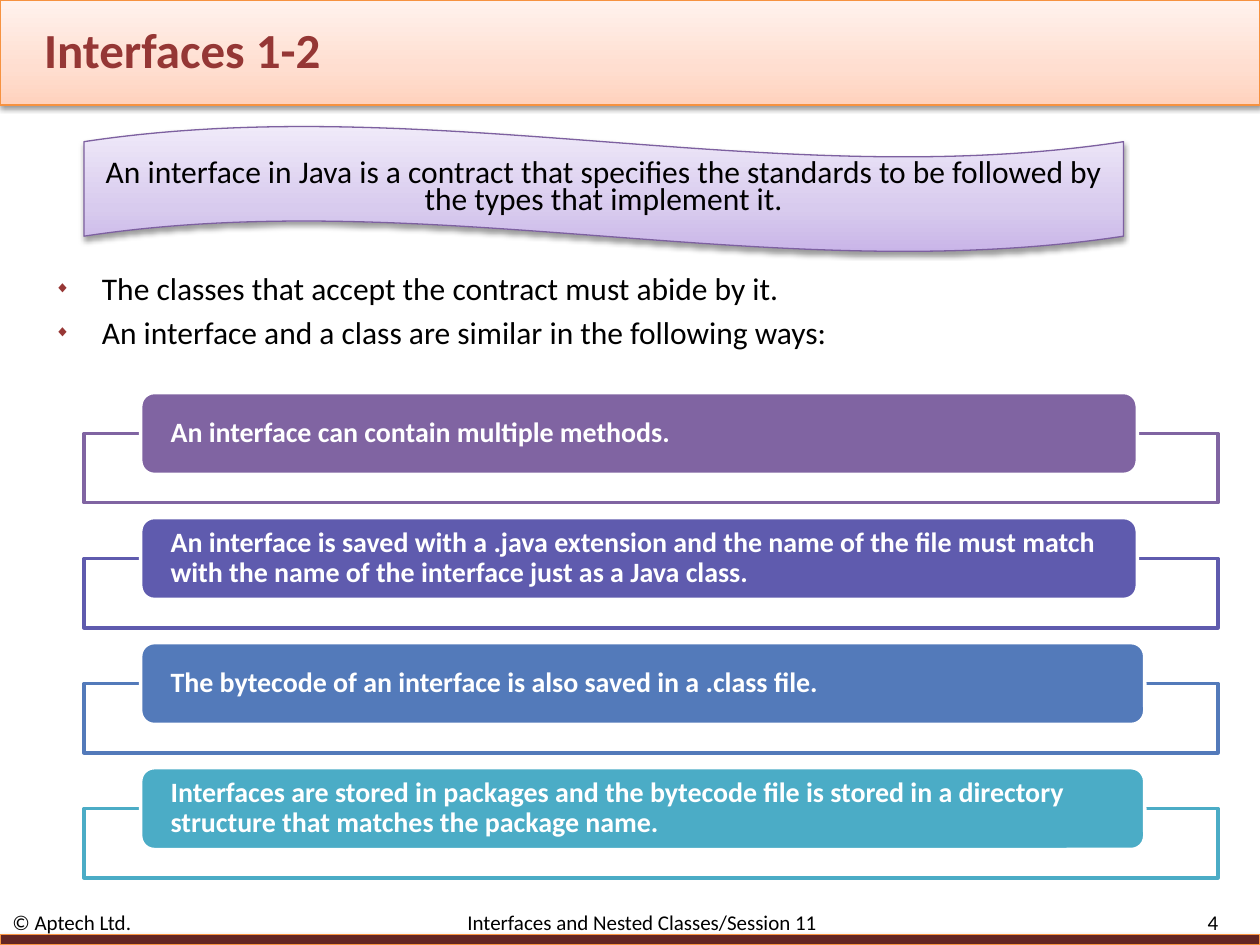
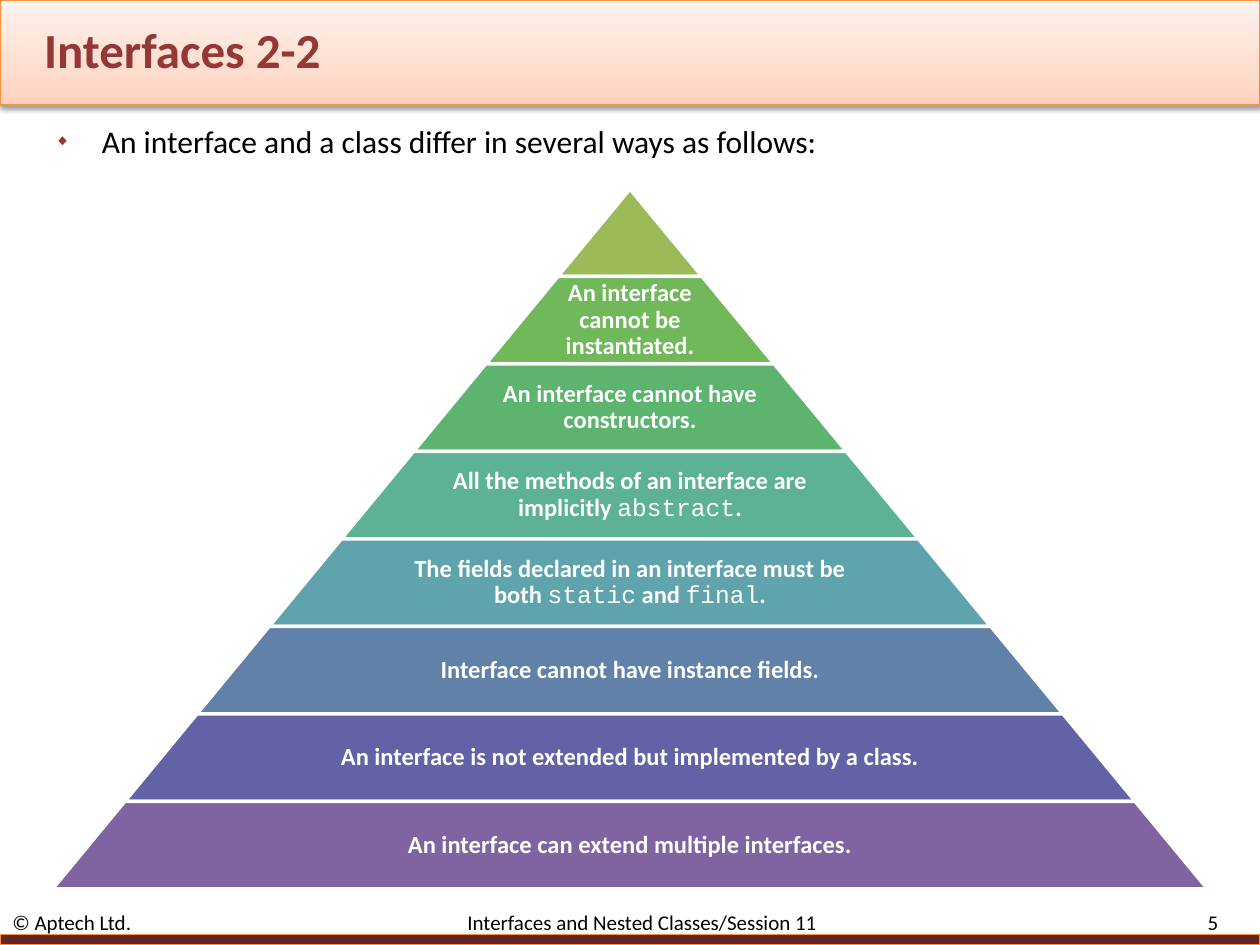
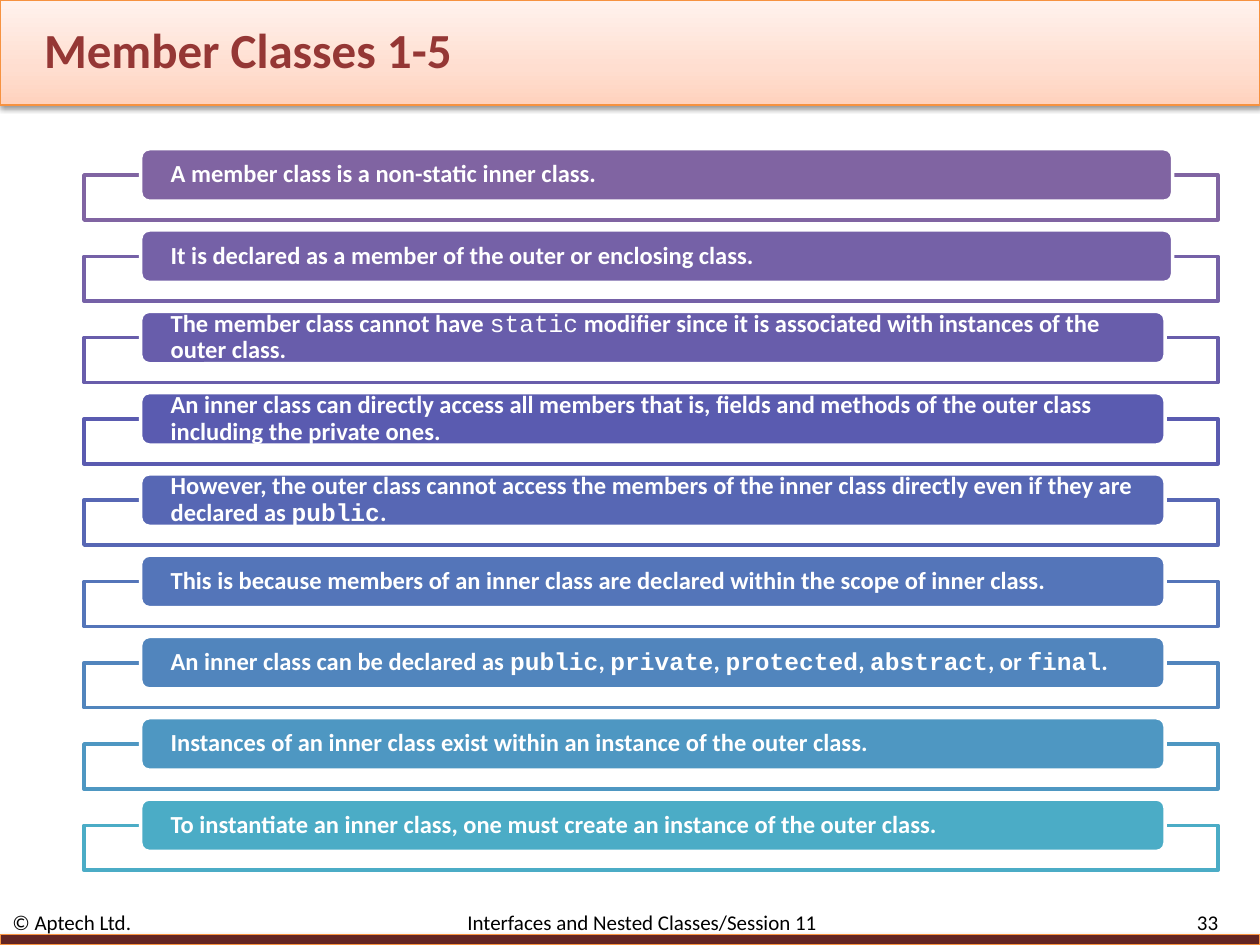
"""Build three slides on Java interfaces and member classes."""
from copy import deepcopy

from pptx import Presentation
from pptx.dml.color import RGBColor
from pptx.enum.shapes import MSO_SHAPE as Shape
from pptx.enum.text import MSO_ANCHOR as Anchor, MSO_AUTO_SIZE as AutoSize, PP_ALIGN as Align
from pptx.oxml import parse_xml
from pptx.oxml.ns import nsdecls, qn
from pptx.util import Pt

COLORS = {
    "white": "FFFFFF", "black": "000000", "title": "953735", "bullet": "973735",
    "maroon": "632523", "orange": "F69240",
    "peach": "FFD2BD", "light peach": "FFDED0", "pale peach": "FFF2ED",
    "lilac": "C9B5E8", "light lilac": "D8CBEE", "pale lilac": "F0EAF9", "wave edge": "7D60A0",
    "purple": "8064A2", "violet": "7561A7", "iris": "685DAB", "indigo": "5F5BAE",
    "deep indigo": "5A5BB0", "royal": "5767B4", "blue": "537ABA", "cobalt": "5475B9",
    "azure": "5185BD", "sky": "4E97C2", "teal": "4BACC6",
    "olive": "9BBB59", "green": "70B85A", "emerald": "5CB46F", "mint": "5DB195",
    "lagoon": "5FA4AD", "steel": "6181A9", "slate violet": "6362A6",
}
SLIDES = [("Interfaces 1-2", "4"), ("Interfaces 2-2", "5"), ("Member Classes 1-5", "33")]
BODIES = [
    (0, 150, 66, ["The classes that accept the contract must abide by it.",
                  "An interface and a class are similar in the following ways:"]),
    (1, 66, 42, ["An interface and a class differ in several ways as follows:"]),
]
SIMILARITIES = [
    ("purple", 569.5, "An interface can contain multiple methods."),
    ("indigo", 569.5, "An interface is saved with a .java extension and the name of the file must match "
                      "with the name of the interface just as a Java class."),
    ("blue", 573.8, "The bytecode of an interface is also saved in a .class file."),
    ("teal", 573.8, "Interfaces are stored in packages and the bytecode file is stored in a directory "
                    "structure that matches the package name."),
]
DIFFERENCES = [
    ("olive", ""),
    ("green", "An interface cannot be instantiated."),
    ("emerald", "An interface cannot have constructors."),
    ("mint", "All the methods of an interface are implicitly `abstract`."),
    ("lagoon", "The fields declared in an interface must be both `static` and `final`."),
    ("steel", "Interface cannot have instance fields."),
    ("slate violet", "An interface is not extended but implemented by a class."),
    ("purple", "An interface can extend multiple interfaces."),
]
MEMBER_FACTS = [
    ("purple", 589.7, "A member class is a non-static inner class."),
    ("violet", 589.7, "It is declared as a member of the outer or enclosing class."),
    ("iris", 585.4, "The member class cannot have `static` modifier since it is associated with "
                    "instances of the outer class."),
    ("deep indigo", 585.4, "An inner class can directly access all members that is, fields and methods "
                           "of the outer class including the private ones."),
    ("royal", 585.4, "However, the outer class cannot access the members of the inner class directly "
                     "even if they are declared as `public`."),
    ("cobalt", 585.4, "This is because members of an inner class are declared within the scope of "
                      "inner class."),
    ("azure", 585.4, "An inner class can be declared as `public`, `private`, `protected`, `abstract`, "
                     "or `final`."),
    ("sky", 585.4, "Instances of an inner class exist within an instance of the outer class."),
    ("teal", 585.4, "To instantiate an inner class, one must create an instance of the outer class."),
]


def paint(shape, fill, line, width=0.75, shadow=None):
    """Give a shape a solid or gradient fill, a line and an optional (alpha, distance) shadow."""
    if isinstance(fill, tuple):
        shape.fill.gradient()
        shape.fill.gradient_angle = 90
        stop_list = shape.element.spPr.find(qn("a:gradFill")).find(qn("a:gsLst"))
        stop_list.append(deepcopy(stop_list[-1]))
        for stop, position, name in zip(shape.fill.gradient_stops, (0, 0.35, 1), fill):
            stop.position = position
            stop.color.rgb = RGBColor.from_string(COLORS[name])
    else:
        shape.fill.solid()
        shape.fill.fore_color.rgb = RGBColor.from_string(COLORS[fill])
    shape.line.color.rgb = RGBColor.from_string(COLORS[line])
    shape.line.width = Pt(width)
    shape.shadow.inherit = False
    if shadow:
        alpha, distance = shadow
        shape.element.spPr.find(qn("a:effectLst")).append(parse_xml(
            f'<a:outerShdw {nsdecls("a")} blurRad="{Pt(3.1)}" dist="{Pt(distance)}" dir="5400000" '
            f'rotWithShape="0"><a:srgbClr val="{COLORS["black"]}"><a:alpha val="{alpha * 1000}"/>'
            '</a:srgbClr></a:outerShdw>'))


def write(shape, text, size, color, bold=False, align=Align.LEFT, spacing=1.0, inset=(7.2, 0),
          plain_code=()):
    """Write one paragraph whose backticked words are set as code."""
    frame = shape.text_frame
    frame.word_wrap = True
    frame.auto_size = AutoSize.NONE
    frame.vertical_anchor = Anchor.MIDDLE
    frame.margin_left = frame.margin_right = Pt(inset[0])
    frame.margin_top = frame.margin_bottom = Pt(inset[1])
    paragraph = frame.paragraphs[0]
    paragraph.alignment = align
    paragraph.line_spacing = spacing
    pieces = text.split("`")
    paragraph.text = pieces[0]
    for piece in pieces[1:]:
        paragraph.add_run().text = piece
    for index, run in enumerate(paragraph.runs):
        run.font.name = "Courier New" if index % 2 else "Calibri"
        run.font.size = Pt(size)
        run.font.bold = bold and not (index % 2 and run.text in plain_code)
        run.font.color.rgb = RGBColor.from_string(COLORS[color])
    return paragraph


presentation = Presentation()
presentation.slide_width, presentation.slide_height = Pt(720), Pt(540)

layout = presentation.slide_layouts[1]
for placeholder in list(layout.placeholders):
    if placeholder.placeholder_format.idx >= 10:
        layout.shapes.element.remove(placeholder.element)
title_place = layout.placeholders[0]
title_place.left, title_place.top = Pt(18), Pt(12)
title_place.width, title_place.height = Pt(600), Pt(32.4)

slides = [presentation.slides.add_slide(layout) for entry in SLIDES]

header = slides[0].shapes.add_shape(Shape.RECTANGLE, 0, 0, Pt(720), Pt(60))
paint(header, ("peach", "light peach", "pale peach"), "orange", shadow=(38, 1.6))
bottom_bar = slides[0].shapes.add_shape(Shape.RECTANGLE, 0, Pt(534), Pt(720), Pt(6))
paint(bottom_bar, "maroon", "orange", shadow=(35, 1.8))
footer = slides[0].shapes.add_textbox(0, Pt(521), Pt(636), Pt(12))
paragraph = write(footer, "© Aptech Ltd.\tInterfaces and Nested Classes/Session 11", 12, "black")
paragraph._p.get_or_add_pPr().append(parse_xml(
    f'<a:tabLst {nsdecls("a")}><a:tab pos="{Pt(260)}" algn="l"/></a:tabLst>'))
for position, shared in enumerate((header, bottom_bar, footer), start=2):
    layout.shapes.element.insert(position, shared.element)

for slide, (title, number) in zip(slides, SLIDES):
    paragraph = write(slide.shapes.title, title, 28, "title", bold=True, inset=(7.2, 3.6))
    paragraph.runs[0].font._element.insert(0, parse_xml(
        f'<a:ln {nsdecls("a")} w="{Pt(0.75)}"><a:solidFill><a:srgbClr val="{COLORS["maroon"]}"/>'
        '</a:solidFill></a:ln>'))
    number_box = slide.shapes.add_textbox(Pt(642), Pt(520.5), Pt(61.2), Pt(13))
    write(number_box, number, 12, "black", align=Align.RIGHT)

for index, top, height, bullets in BODIES:
    body = slides[index].placeholders[1]
    body.left, body.top, body.width, body.height = Pt(24), Pt(top), Pt(678), Pt(height)
    body.text_frame.text = "\n".join(bullets)
    body.text_frame.auto_size = AutoSize.NONE
    for order, paragraph in enumerate(body.text_frame.paragraphs):
        properties = paragraph._p.get_or_add_pPr()
        properties.set("marL", str(Pt(27)))
        properties.set("indent", str(-Pt(27)))
        for markup in (f'<a:buClr {nsdecls("a")}><a:srgbClr val="{COLORS["bullet"]}"/></a:buClr>',
                       f'<a:buSzPct {nsdecls("a")} val="50000"/>',
                       f'<a:buChar {nsdecls("a")} char="◆"/>'):
            properties.append(parse_xml(markup))
        paragraph.space_before = Pt(3.6 if order else 0)
        for run in paragraph.runs:
            run.font.name = "Calibri"
            run.font.size = Pt(18)
            run.font.color.rgb = RGBColor.from_string(COLORS["black"])
empty_body = slides[2].placeholders[1]
empty_body.element.getparent().remove(empty_body.element)

wave = slides[0].shapes.add_shape(Shape.WAVE, Pt(48), Pt(72), Pt(594), Pt(72))
paint(wave, ("lilac", "light lilac", "pale lilac"), "wave edge", shadow=(38, 1.6))
write(wave, "An interface in Java is a contract that specifies the standards to be followed by "
            "the types that implement it.", 18, "black", align=Align.CENTER, spacing=0.7,
      inset=(7.2, 3.6))

for slide, facts, first_top, pitch, tag_height, frame_height, size in (
        (slides[0], SIMILARITIES, 224.3, 71.45, 46.8, 39.6, 16),
        (slides[2], MEMBER_FACTS, 85, 46.45, 30, 25.7, 14)):
    for row, (color, tag_width, text) in enumerate(facts):
        top = first_top + row * pitch
        frame = slide.shapes.add_shape(Shape.RECTANGLE, Pt(48), Pt(top + tag_height / 2),
                                       Pt(648), Pt(frame_height))
        paint(frame, "white", color, 2)
        tag = slide.shapes.add_shape(Shape.ROUNDED_RECTANGLE, Pt(80.4), Pt(top),
                                     Pt(tag_width), Pt(tag_height))
        paint(tag, color, "white", 2)
        write(tag, text, size, "white", bold=True, spacing=0.9,
              inset=(17.2 - 0.05 * tag_height, 0), plain_code=("static",))

TIER_HEIGHT, TIER_STEP = 50, 82.5
for tier, (color, text) in enumerate(DIFFERENCES):
    width, top = TIER_STEP * (tier + 1), 108 + TIER_HEIGHT * tier
    layer = slides[1].shapes.add_shape(Shape.TRAPEZOID, Pt(360 - width / 2), Pt(top),
                                       Pt(width), Pt(TIER_HEIGHT))
    layer.adjustments[0] = TIER_STEP / 2 / TIER_HEIGHT
    paint(layer, color, "white", 2)
    if text:
        label_width = 0.65 * width
        label = slides[1].shapes.add_textbox(Pt(360 - label_width / 2), Pt(top),
                                             Pt(label_width), Pt(TIER_HEIGHT))
        write(label, text, 14, "white", bold=True, align=Align.CENTER, spacing=0.9,
              inset=(1.4, 1.4), plain_code=("abstract", "static", "final"))

presentation.save("out.pptx")
